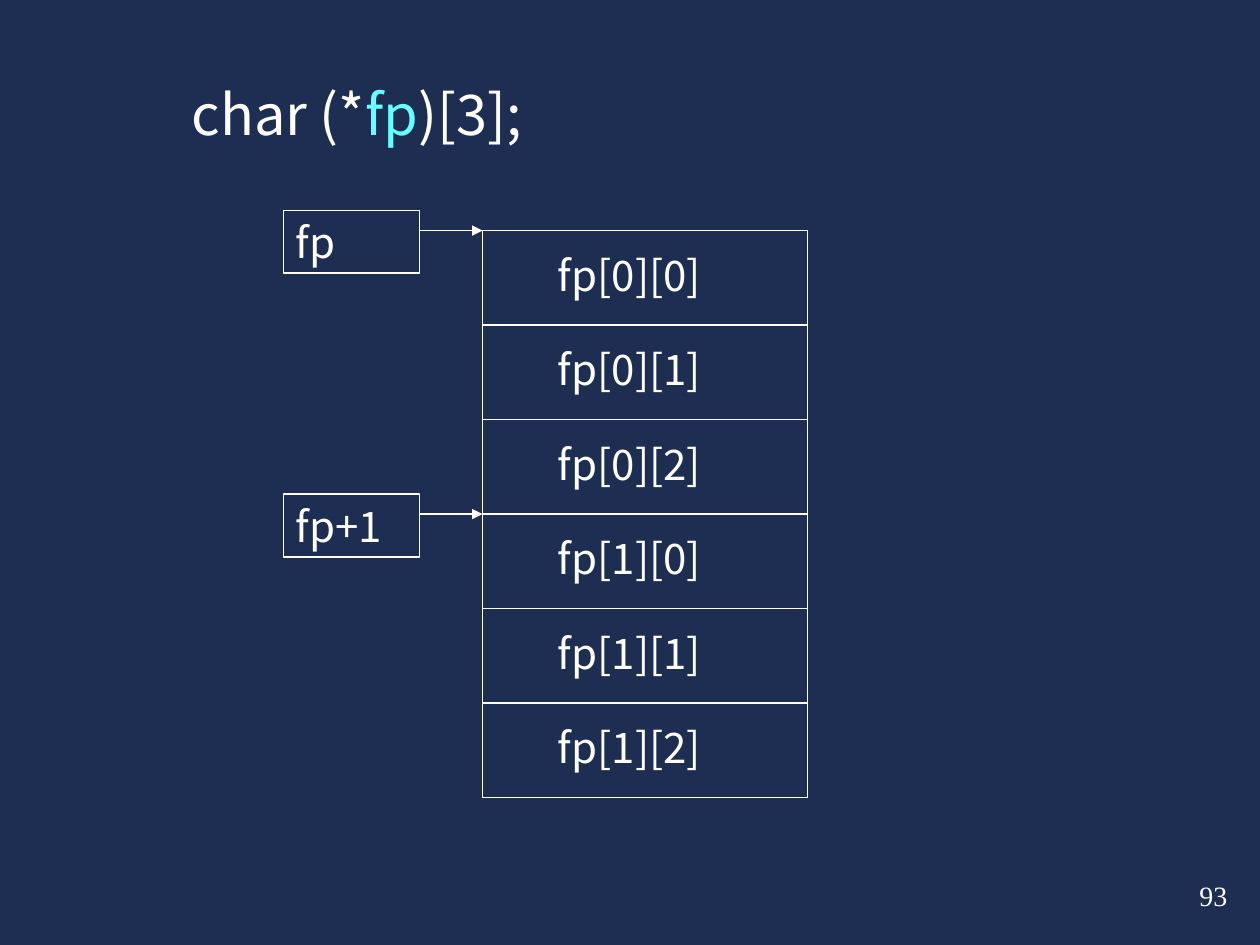
from pptx import Presentation
from pptx.dml.color import RGBColor
from pptx.enum.shapes import MSO_CONNECTOR, MSO_SHAPE
from pptx.enum.text import MSO_ANCHOR, MSO_AUTO_SIZE, PP_ALIGN
from pptx.oxml.ns import qn
from pptx.util import Inches, Pt
from lxml.etree import SubElement

NAVY = RGBColor(0x1E, 0x2E, 0x53)
WHITE = RGBColor(0xFF, 0xFF, 0xFF)
CYAN = RGBColor(0x66, 0xFF, 0xFF)
SANS, SERIF = "Noto Sans CJK SC", "Times New Roman"

TITLE = [("char (*", WHITE), ("fp", CYAN), (")[3];", WHITE)]
CELLS = [f"fp[{row}][{col}]" for row in range(2) for col in range(3)]
POINTERS = [("fp", 0), ("fp+1", 3)]  # label, cell it points to
PAGE = "93"

LEFT, TOP, WIDTH, STEP = 3.83, 1.83, 2.58, 0.75
BOX_LEFT, BOX_WIDTH, BOX_HEIGHT = 2.25, 1.08, 0.5
FRAME = {"word_wrap": True, "auto_size": MSO_AUTO_SIZE.NONE,
         "vertical_anchor": MSO_ANCHOR.TOP}


def write(shape, runs, size, font=SANS, before=0):
    frame = shape.text_frame
    for name, value in FRAME.items():
        setattr(frame, name, value)
    para = frame.paragraphs[0]
    para.alignment = PP_ALIGN.LEFT
    para.space_before = Pt(before)
    for text, color in runs:
        run = para.add_run()
        run.text = text
        run.font.name = font
        run.font.size = Pt(size)
        run.font.color.rgb = color


def add_box(parent, *place):
    box = parent.add_shape(MSO_SHAPE.RECTANGLE, *map(Inches, place))
    box.shadow.inherit = False
    box.fill.background()
    box.line.color.rgb = WHITE
    box.line.width = Pt(1)
    return box


def add_line(parent, start, end, y, arrow=False):
    line = parent.add_connector(MSO_CONNECTOR.STRAIGHT,
                                *map(Inches, (start, y, end, y)))
    line.line.color.rgb = WHITE
    line.line.width = Pt(1)
    if arrow:
        SubElement(line.line._get_or_add_ln(), qn("a:tailEnd"), type="triangle")
    SubElement(line._element.spPr, qn("a:effectLst"))


def main():
    deck = Presentation()
    deck.slide_width, deck.slide_height = Inches(10), Inches(7.5)
    slide = deck.slides.add_slide(deck.slide_layouts[5])
    slide.background.fill.solid()
    slide.background.fill.fore_color.rgb = NAVY
    shapes = slide.shapes

    title = shapes.title
    title.left, title.top, title.width, title.height = map(
        Inches, (1.42, 0.58, 4.17, 0.64))
    write(title, TITLE, 32, before=20)

    for label, index in POINTERS:
        y = TOP + index * STEP
        box = add_box(shapes, BOX_LEFT, y - 0.16, BOX_WIDTH, BOX_HEIGHT)
        write(box, [(label, WHITE)], 24, before=15)
        add_line(shapes, BOX_LEFT + BOX_WIDTH, LEFT, y, arrow=True)

    memory = shapes.add_group_shape().shapes
    add_box(memory, LEFT, TOP, WIDTH, STEP * len(CELLS))
    for index, label in enumerate(CELLS):
        y = TOP + index * STEP
        if index:
            add_line(memory, LEFT, LEFT + WIDTH, y)
        text = memory.add_textbox(*map(Inches, (4.33, y + 0.1, 1.5, 0.5)))
        write(text, [(label, WHITE)], 24, before=15)

    page = shapes.add_textbox(*map(Inches, (9.42, 6.92, 0.58, 0.37)))
    write(page, [(PAGE, WHITE)], 16, SERIF)

    deck.save("out.pptx")


if __name__ == "__main__":
    main()
